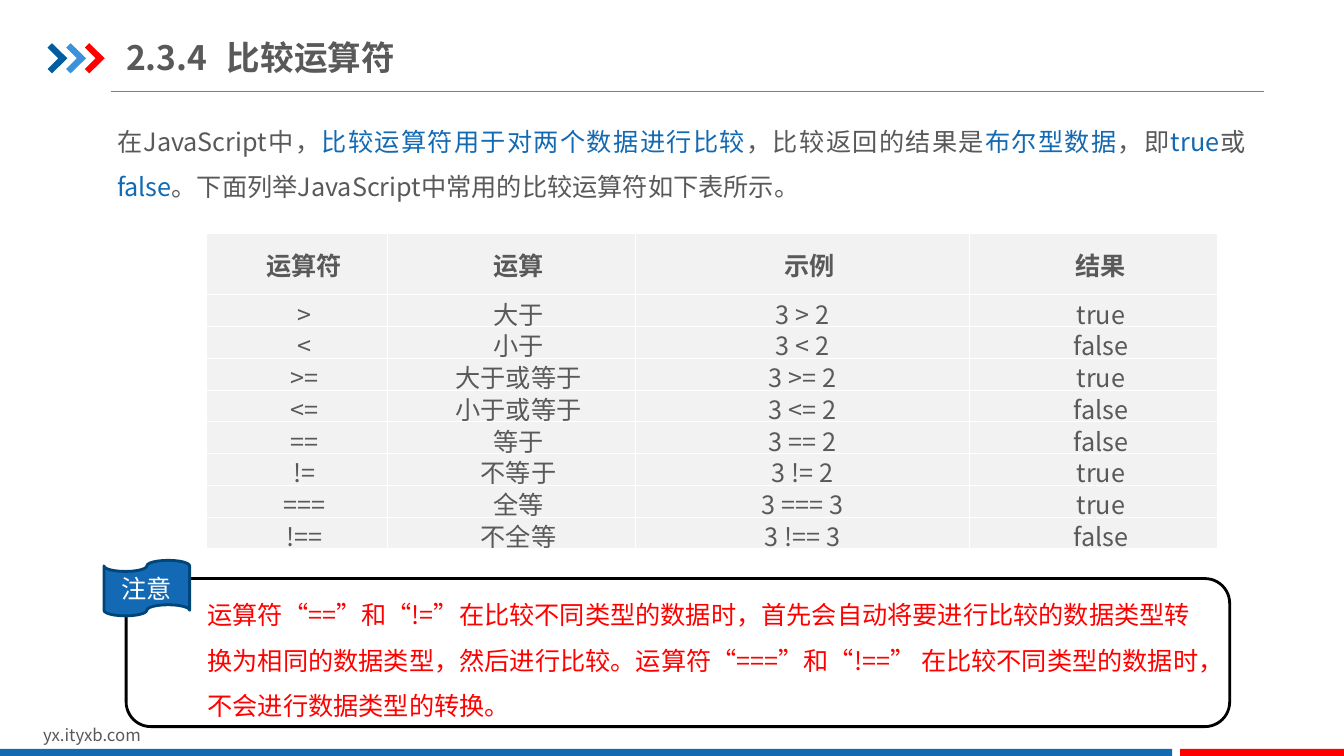
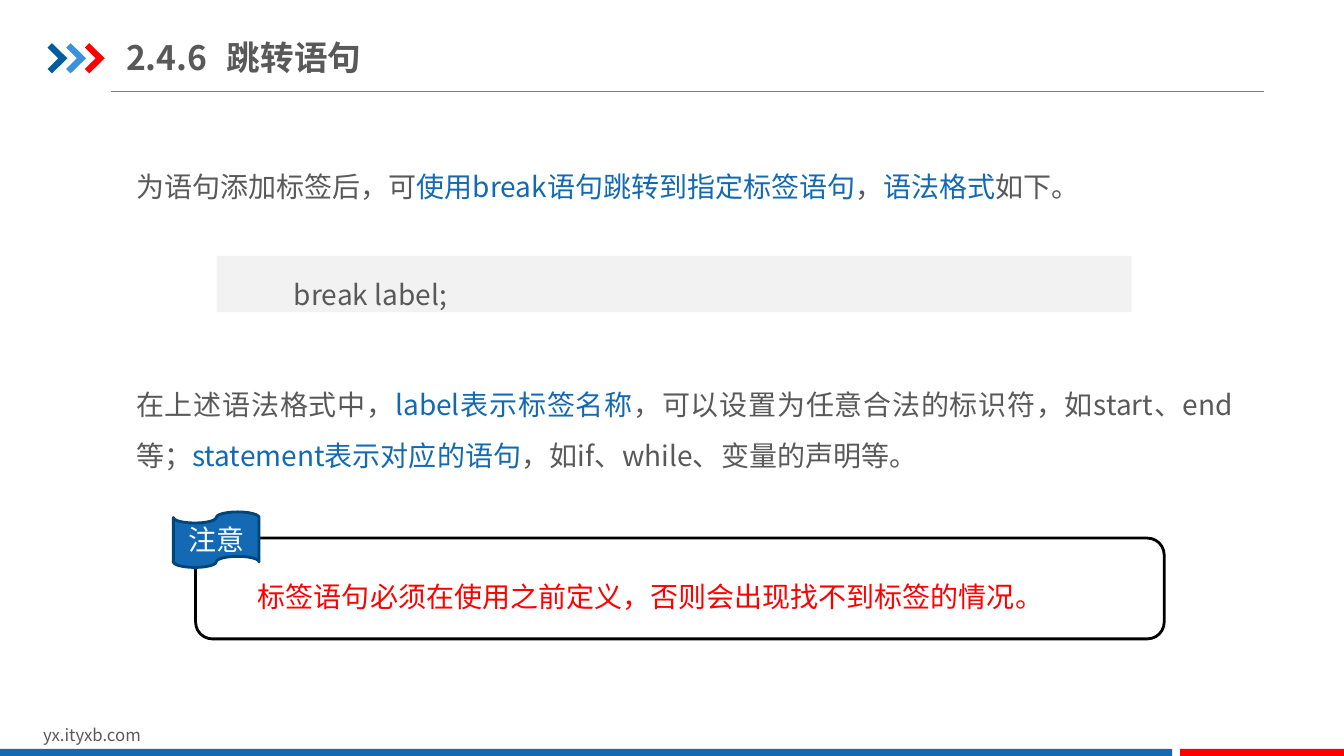
from lxml import etree
from pptx import Presentation
from pptx.dml.color import RGBColor
from pptx.enum.shapes import MSO_CONNECTOR, MSO_SHAPE
from pptx.enum.text import MSO_ANCHOR, PP_ALIGN
from pptx.oxml.ns import qn
from pptx.util import Cm, Pt

RECTANGLE = MSO_SHAPE.RECTANGLE
ROUNDED_RECTANGLE = MSO_SHAPE.ROUNDED_RECTANGLE
TAPE = MSO_SHAPE.WAVE if not hasattr(MSO_SHAPE, "FLOWCHART_PUNCHED_TAPE") else MSO_SHAPE.FLOWCHART_PUNCHED_TAPE
STRAIGHT = MSO_CONNECTOR.STRAIGHT
TOP, MIDDLE = MSO_ANCHOR.TOP, MSO_ANCHOR.MIDDLE
LEFT, CENTER, JUSTIFY = PP_ALIGN.LEFT, PP_ALIGN.CENTER, PP_ALIGN.JUSTIFY

FONT = "Noto Sans CJK SC"
COLORS = {
    "text": "595959",
    "blue": "1369B2",
    "dark blue": "005DA2",
    "light blue": "3992DB",
    "tape": "1369B3",
    "tape edge": "004578",
    "red": "FF0000",
    "rule": "808080",
    "panel": "F2F2F2",
    "white": "FFFFFF",
    "black": "000000",
}
CHEVRON = [(0, 0.11), (0.11, 0), (0.5, 0.38), (0.11, 0.76), (0, 0.65), (0.27, 0.38)]
DEFAULT_MARGINS = (0.25, 0.13)

OPERATORS = [
    ("运算符", "运算", "示例", "结果"),
    (">", "大于", "3 > 2", "true"),
    ("<", "小于", "3 < 2", "false"),
    (">=", "大于或等于", "3 >= 2", "true"),
    ("<=", "小于或等于", "3 <= 2", "false"),
    ("==", "等于", "3 == 2", "false"),
    ("!=", "不等于", "3 != 2", "true"),
    ("===", "全等", "3 === 3", "true"),
    ("!==", "不全等", "3 !== 3", "false"),
]
COLUMN_WIDTHS = (4.55, 6.25, 8.43, 6.25)
HEADER_HEIGHT, ROW_HEIGHT = 1.55, 0.8
EXAMPLE_COLUMN = 2


def rgb(name):
    return RGBColor.from_string(COLORS[name])


def to_cm(box):
    return [Cm(length) for length in box]


def format_run(run, size, color, bold=False):
    run.font.size = Pt(size)
    run.font.bold = bold
    run.font.color.rgb = rgb(color)
    run.font.name = FONT
    east_asian = etree.SubElement(run._r.get_or_add_rPr(), qn("a:ea"))
    east_asian.set("typeface", FONT)


def write(text_frame, parts, size, colors=("text", "blue"), bold=False,
          align=LEFT, spacing=1.0, indent=0, margin_left=0):
    """Write one paragraph whose parts take the given colours in turn."""
    paragraph = text_frame.paragraphs[0]
    paragraph.alignment = align
    paragraph.line_spacing = spacing
    properties = paragraph._p.get_or_add_pPr()
    properties.set("marL", str(Cm(margin_left)))
    properties.set("indent", str(Cm(indent)))
    for index, part in enumerate(parts):
        run = paragraph.add_run()
        run.text = part
        format_run(run, size, colors[index % len(colors)], bold)


def add_text(slide, box, parts, size, anchor=TOP, margins=DEFAULT_MARGINS, **style):
    text_box = slide.shapes.add_textbox(*to_cm(box))
    text_frame = text_box.text_frame
    text_frame.word_wrap = True
    text_frame.vertical_anchor = anchor
    text_frame.margin_left = text_frame.margin_right = Cm(margins[0])
    text_frame.margin_top = text_frame.margin_bottom = Cm(margins[1])
    write(text_frame, parts, size, **style)
    return text_box


def paint(shape, fill=None, line=None):
    shape.shadow.inherit = False
    if fill:
        shape.fill.solid()
        shape.fill.fore_color.rgb = rgb(fill)
    else:
        shape.fill.background()
    if line:
        shape.line.color.rgb = rgb(line)
        shape.line.width = Pt(2)
    else:
        shape.line.fill.background()


def add_shape(slide, kind, box, fill=None, line=None):
    shape = slide.shapes.add_shape(kind, *to_cm(box))
    paint(shape, fill, line)
    return shape


def add_chevron(slide, left, top, color):
    points = [(Cm(left + x), Cm(top + y)) for x, y in CHEVRON]
    builder = slide.shapes.build_freeform(*points[0], scale=1.0)
    builder.add_line_segments(points[1:], close=True)
    paint(builder.convert_to_shape(), color)


def add_rule(slide):
    rule = slide.shapes.add_connector(STRAIGHT, *to_cm((2.79, 2.31, 31.85, 2.31)))
    rule.line.color.rgb = rgb("rule")
    rule.line.width = Pt(0.75)
    etree.SubElement(rule._element.spPr, qn("a:effectLst"))


def furnish_layout(layout, slide):
    """Draw the shared parts on a slide, then move them to its layout."""
    for placeholder in list(layout.placeholders):
        layout.shapes.element.remove(placeholder.element)
    add_rule(slide)
    for index, color in enumerate(("dark blue", "light blue", "red")):
        add_chevron(slide, 1.2 + 0.47 * index, 1.09, color)
    add_text(slide, (0.84, 18.14, 8.08, 0.76), ["yx.ityxb.com"], 12)
    add_shape(slide, RECTANGLE, (0, 18.87, 29.54, 0.18), "blue")
    add_shape(slide, RECTANGLE, (29.74, 18.87, 4.13, 0.18), "red")
    for shape in list(slide.shapes):
        layout.shapes.element.append(shape.element)


def add_title(slide, number, title, width):
    add_text(slide, (3.18, 0.74, width, 1.4), [f"{number}\t{title}"], 24,
             anchor=MIDDLE, margins=(0, 0.18), bold=True)


def add_body(slide, box, parts, size, **style):
    add_text(slide, box, parts, size, align=JUSTIFY, spacing=1.5, **style)


def add_note(slide, frame, tape_corner, text_box, text, size):
    """Add a framed warning with a small tape label at its corner."""
    add_shape(slide, ROUNDED_RECTANGLE, frame, line="black")
    tape = add_shape(slide, TAPE, (*tape_corner, 2.16, 1.4), "tape", "tape edge")
    tape.text_frame.vertical_anchor = MIDDLE
    write(tape.text_frame, ["注意"], size, colors=["white"], align=CENTER)
    add_text(slide, text_box, [text], size, colors=["red"], spacing=1.5)


def add_cell_borders(cell):
    properties = cell._tc.get_or_add_tcPr()
    for index, side in enumerate(("lnL", "lnR", "lnT", "lnB")):
        border = etree.Element(qn(f"a:{side}"), w=str(Pt(1)))
        fill = etree.SubElement(border, qn("a:solidFill"))
        etree.SubElement(fill, qn("a:srgbClr"), val=COLORS["white"])
        properties.insert(index, border)


def fill_cell(cell, text, bold, indent):
    cell.fill.solid()
    cell.fill.fore_color.rgb = rgb("panel")
    cell.vertical_anchor = MIDDLE
    cell.margin_left = cell.margin_right = Cm(0.18)
    cell.margin_top = cell.margin_bottom = 0
    add_cell_borders(cell)
    write(cell.text_frame, [text], 18, bold=bold, align=CENTER, indent=indent)


def add_operator_table(slide, left, top):
    heights = [HEADER_HEIGHT] + [ROW_HEIGHT] * (len(OPERATORS) - 1)
    box = (left, top, sum(COLUMN_WIDTHS), sum(heights))
    table = slide.shapes.add_table(len(heights), len(COLUMN_WIDTHS), *to_cm(box)).table
    for column, width in zip(table.columns, COLUMN_WIDTHS):
        column.width = Cm(width)
    for row_index, (height, texts) in enumerate(zip(heights, OPERATORS)):
        table.rows[row_index].height = Cm(height)
        is_header = row_index == 0
        for column_index, text in enumerate(texts):
            is_example = column_index == EXAMPLE_COLUMN and not is_header
            fill_cell(table.cell(row_index, column_index), text, is_header,
                      0 if is_example else 0.36)


def build_comparison_slide(slide):
    add_body(slide, (2.62, 2.62, 29.11, 2.64), [
        "在JavaScript中，", "比较运算符用于对两个数据进行比较",
        "，比较返回的结果是", "布尔型数据", "，即", "true", "或", "false",
        "。下面列举JavaScript中常用的比较运算符如下表所示。",
    ], 18, margins=(0.33, 0.18))
    add_operator_table(slide, 5.21, 5.88)
    add_title(slide, "2.3.4", "比较运算符", 7.11)
    add_note(slide, (3.18, 14.58, 27.81, 3.73), (2.62, 14.12), (4.98, 14.6, 25.76, 3.58),
             "运算符“==”和“!=”在比较不同类型的数据时，首先会自动将要进行比较的数据类型"
             "转换为相同的数据类型，然后进行比较。运算符“===”和“!==” 在比较不同类型的"
             "数据时，不会进行数据类型的转换。", 18)


def build_jump_slide(slide):
    add_title(slide, "2.4.6", "跳转语句", 12.34)
    add_body(slide, (3.18, 3.71, 24.36, 1.55), [
        "为语句添加标签后，可", "使用break语句跳转到指定标签语句", "，", "语法格式", "如下。",
    ], 20)
    code = add_shape(slide, RECTANGLE, (5.46, 6.45, 23.06, 1.42), "panel")
    code.text_frame.vertical_anchor = TOP
    write(code.text_frame, ["break label;"], 20, spacing=1.5, margin_left=1.7)
    add_body(slide, (3.18, 9.22, 28.14, 2.82), [
        "在上述语法格式中，", "label表示标签名称",
        "，可以设置为任意合法的标识符，如start、end等；", "statement表示对应的语句",
        "，如if、while、变量的声明等。",
    ], 20)
    add_note(slide, (4.93, 13.56, 24.41, 2.54), (4.37, 12.9), (6.25, 14.05, 20.17, 1.55),
             "标签语句必须在使用之前定义，否则会出现找不到标签的情况。", 20)


def main():
    presentation = Presentation()
    presentation.slide_width, presentation.slide_height = Cm(33.87), Cm(19.05)
    blank = presentation.slide_layouts[6]
    comparison_slide = presentation.slides.add_slide(blank)
    furnish_layout(blank, comparison_slide)
    build_comparison_slide(comparison_slide)
    build_jump_slide(presentation.slides.add_slide(blank))
    presentation.save("out.pptx")


if __name__ == "__main__":
    main()
